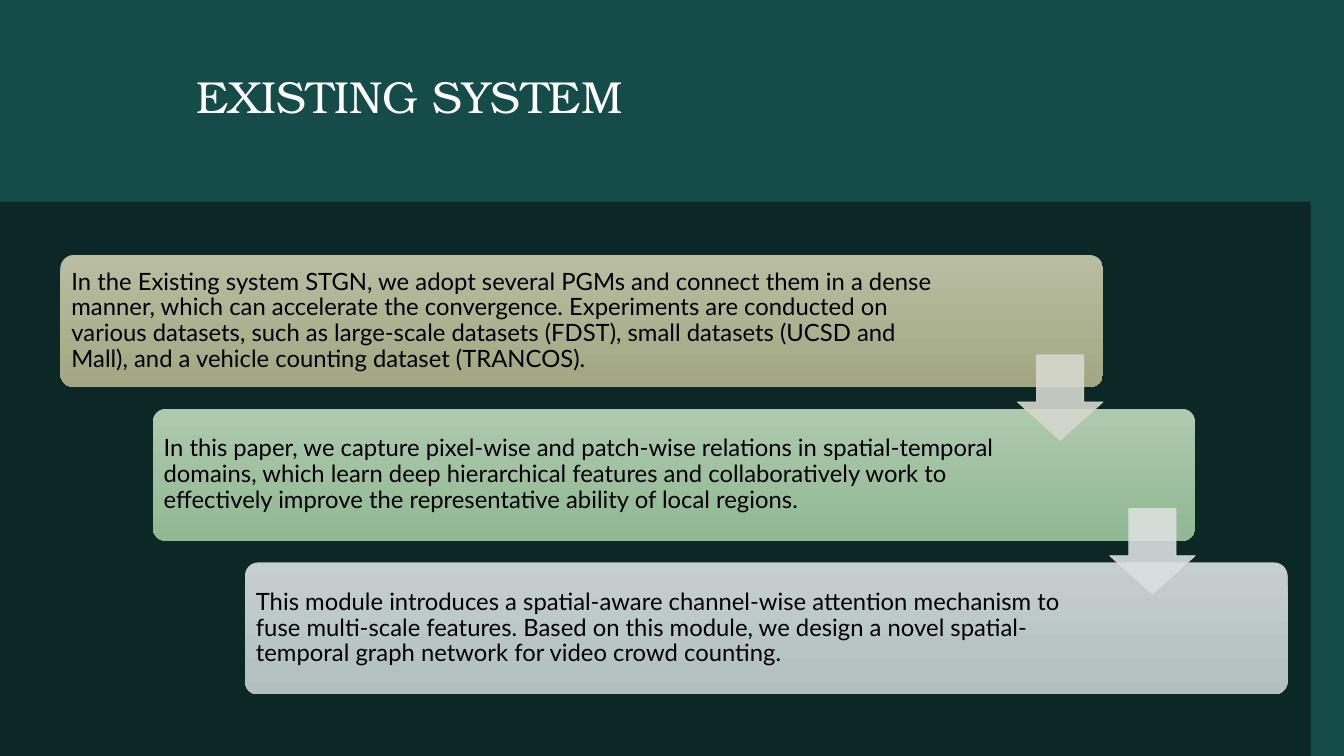
"""Build the Existing System slide: a title over three descending steps."""
import pptx
import pptx.dml.color
import pptx.enum.shapes
import pptx.enum.text
import pptx.oxml
import pptx.oxml.ns
import pptx.util

INCH = pptx.util.Inches
SHAPES = pptx.enum.shapes.MSO_SHAPE
ANCHOR = pptx.enum.text.MSO_ANCHOR
LEFT = pptx.enum.text.PP_ALIGN.LEFT

SIZE = (13.33, 7.5)
TEAL, DARK = "154C4A", "0B2827"
TITLE = {"text": "EXISTING SYSTEM", "at": (1.95, 0.68, 10.57, 0.75)}
TITLE_FONT = {"name": "TeX Gyre Bonum", "size": pptx.util.Pt(32)}
STEP_FONT = {"name": "Lato", "size": pptx.util.Pt(17)}
RIDGE = [(0.01, 2.02), (0.08, 2.02), (1.4, 2.07), (2.72, 2.05), (4.36, 2.01),
         (10.12, 1.9), (11.77, 1.98), (12.43, 1.97), (13.33, 1.95)]
STEPS = [
    {"text": "In the Existing system STGN, we adopt several PGMs and connect them in a dense "
             "manner, which can accelerate the convergence. Experiments are conducted on "
             "various datasets, such as large-scale datasets (FDST), small datasets (UCSD and "
             "Mall), and a vehicle counting dataset (TRANCOS).",
     "shades": ("B9BDA2", "A2A782"), "right": 1.4, "arrow": "D6D8CE"},
    {"text": "In this paper, we capture pixel-wise and patch-wise relations in spatial-temporal "
             "domains, which learn deep hierarchical features and collaboratively work to "
             "effectively improve the representative ability of local regions.",
     "shades": ("AEC9AF", "91B892"), "right": 1.83, "arrow": "DBE0E0"},
    {"text": "This module introduces a spatial-aware channel-wise attention mechanism to "
             "fuse multi-scale features. Based on this module, we design a novel "
             "spatial-temporal graph network for video crowd counting.",
     "shades": ("C6CFCF", "B1BFBF"), "right": 1.83, "arrow": None},
]
ORIGIN, STRIDE = (0.6, 2.53), (0.915, 1.525)
STEP_SIZE, ARROW_SIDE, ARROW_DROP = (10.34, 1.31), 0.85, 0.99
INSET = 0.07


def colour(value):
    """Turn a hex string into a colour."""
    return pptx.dml.color.RGBColor.from_string(value)


def apply(target, values):
    """Set each named attribute of the target."""
    for name, value in values.items():
        setattr(target, name, value)


def paint(fill, value, opacity=100):
    """Fill with one colour, see-through below full opacity."""
    fill.solid()
    fill.fore_color.rgb = colour(value)
    if opacity < 100:
        for node in fill._xPr.iter(pptx.oxml.ns.qn("a:srgbClr")):
            alpha = pptx.oxml.parse_xml(
                f'<a:alpha {pptx.oxml.ns.nsdecls("a")} val="{opacity * 1000}"/>')
            node.append(alpha)


def write(shape, text, font, ink, margins, anchor, spacing):
    """Write one left-aligned paragraph into a shape."""
    frame = shape.text_frame
    sides = ("margin_left", "margin_top", "margin_right", "margin_bottom")
    apply(frame, dict(zip(sides, map(INCH, margins))))
    apply(frame, {"word_wrap": True, "vertical_anchor": anchor})
    para = frame.paragraphs[0]
    apply(para, {"alignment": LEFT, "line_spacing": spacing})
    span = para.add_run()
    span.text = text
    apply(span.font, font)
    span.font.color.rgb = colour(ink)


def add_ground(page):
    """Draw the dark ground below the ridge."""
    width, height = SIZE
    outline = RIDGE + [(width, height), (0, height)]
    builder = page.shapes.build_freeform(*outline[0], scale=INCH(1))
    builder.add_line_segments(outline[1:], close=True)
    ground = builder.convert_to_shape()
    ground.shadow.inherit = False
    paint(ground.fill, DARK)
    ground.line.fill.background()


def add_step(page, left, top, step):
    """Draw one shaded step with its text."""
    box = page.shapes.add_shape(SHAPES.ROUNDED_RECTANGLE,
                                *map(INCH, (left, top, *STEP_SIZE)))
    box.adjustments[0] = 0.1
    box.shadow.inherit = False
    box.line.fill.background()
    box.fill.gradient()
    box.fill.gradient_angle = 270
    for stop, shade in zip(box.fill.gradient_stops, step["shades"]):
        stop.color.rgb = colour(shade)
    write(box, step["text"], STEP_FONT, "000000",
          (INSET, INSET, step["right"], INSET), ANCHOR.MIDDLE, 0.9)


def add_arrow(page, left, top, tint):
    """Draw the arrow that leads to the next step."""
    place = (left + STEP_SIZE[0] - ARROW_SIDE, top + ARROW_DROP, ARROW_SIDE, ARROW_SIDE)
    arrow = page.shapes.add_shape(SHAPES.DOWN_ARROW, *map(INCH, place))
    arrow.adjustments[0], arrow.adjustments[1] = 0.55, 0.45
    arrow.shadow.inherit = False
    paint(arrow.fill, tint, 90)
    arrow.line.width = pptx.util.Pt(0.5)
    paint(arrow.line.fill, tint, 90)


def main():
    """Compose the slide and save it."""
    deck = pptx.Presentation()
    apply(deck, dict(zip(("slide_width", "slide_height"), map(INCH, SIZE))))
    page = deck.slides.add_slide(deck.slide_layouts[6])
    paint(page.background.fill, TEAL)
    title = page.shapes.add_textbox(*map(INCH, TITLE["at"]))
    write(title, TITLE["text"], TITLE_FONT, "FFFFFF", (0, 0, 0, 0), ANCHOR.TOP, 1.0)
    add_ground(page)
    places = [[start + index * stride for start, stride in zip(ORIGIN, STRIDE)]
              for index in range(len(STEPS))]
    for place, step in zip(places, STEPS):
        add_step(page, *place, step)
    for place, step in zip(places, STEPS):
        if step["arrow"]:
            add_arrow(page, *place, step["arrow"])
    deck.save("out.pptx")


if __name__ == "__main__":
    main()
